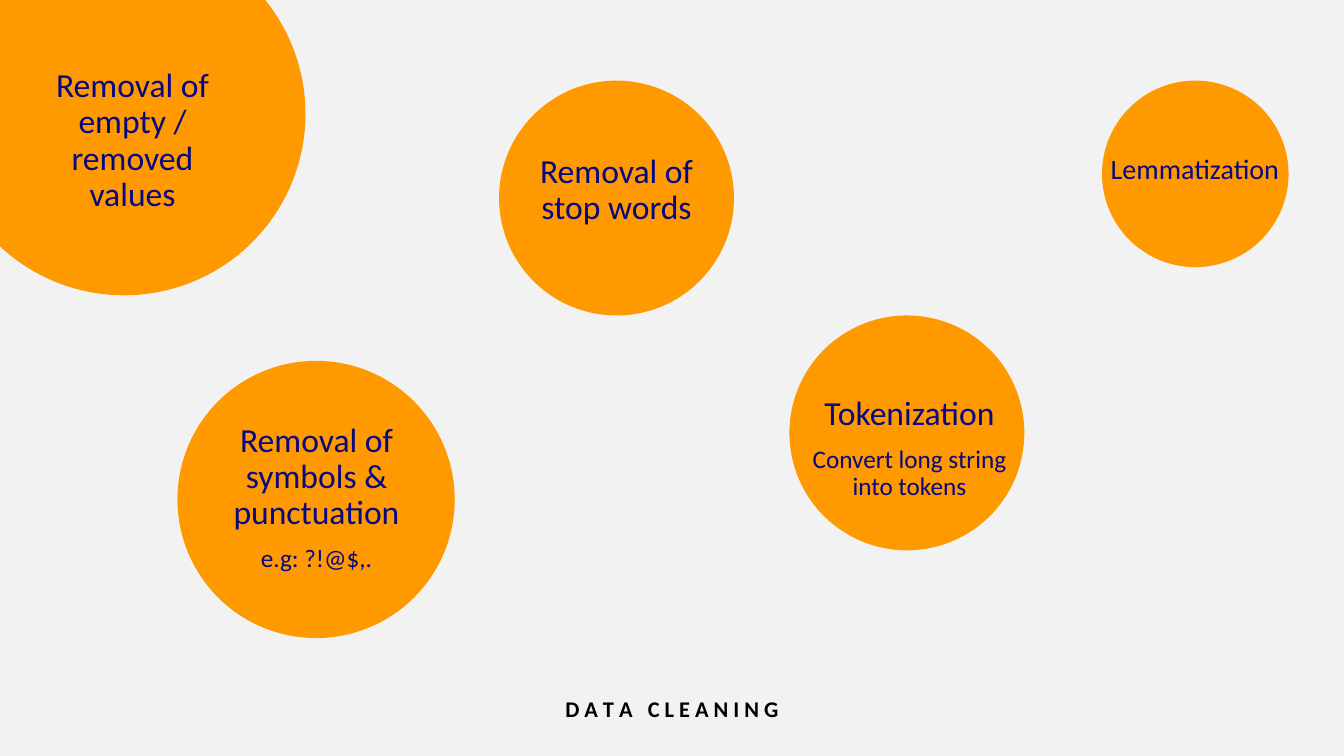
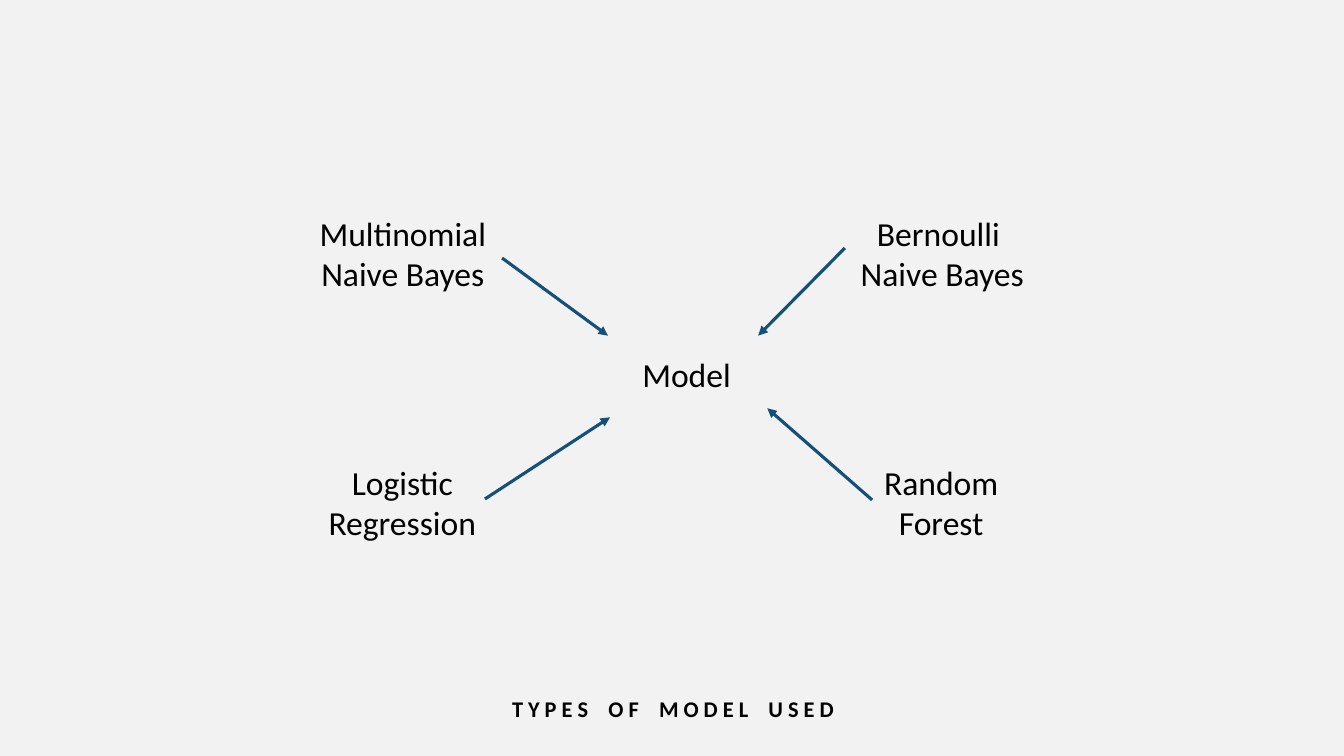
"""Build two slides: data cleaning steps and types of model used."""
from pptx import Presentation
from pptx.dml.color import RGBColor as Rgb
from pptx.enum.shapes import MSO_CONNECTOR as Line, MSO_SHAPE as Shape
from pptx.enum.text import MSO_AUTO_SIZE as Fit, PP_ALIGN as Align
from pptx.oxml.ns import qn
from pptx.util import Inches, Pt
from lxml.etree import SubElement as Sub

FONT = "Calibri"
COLORS = {"back": "F2F2F2", "disc": "FF9900", "navy": "07077F",
          "black": "000000", "arrow": "155078"}

DISCS = [(-0.57, -0.67, 3.6), (1.76, 3.58, 2.75), (4.95, 0.8, 2.33),
         (7.83, 3.13, 2.33), (10.93, 0.8, 1.85)]

STEPS = [
    ((10.59, 1.44, 2.52, 0.5), [("Lemmatization", 20)]),
    ((5.22, 1.43, 1.79, 0.93), [("Removal of stop words", 24)]),
    ((2.16, 4.1, 1.96, 1.71), [("Removal of symbols & punctuation", 24),
                               ("e.g: ?!@$,.", 18)]),
    ((0.2, 0.58, 2.23, 1.66), [("Removal of empty / removed values", 24)]),
    ((7.96, 3.83, 2.12, 1.25), [("Tokenization", 24),
                                ("Convert long string into tokens", 18)]),
]

MODELS = [
    ((3.05, 2.01, 1.89, 1.01), ["Multinomial Naive Bayes"]),
    ((3.13, 4.48, 1.72, 1.01), ["Logistic Regression"]),
    ((8.67, 4.48, 1.33, 1.01), ["Random Forest"]),
    ((8.4, 2.01, 1.89, 1.01), ["Bernoulli ", "Naive Bayes"]),
]

ARROWS = [(4.98, 2.56, 6.03, 3.33), (4.81, 4.95, 6.05, 4.14),
          (8.65, 4.96, 7.61, 4.05), (8.38, 2.46, 7.52, 3.33)]


def color(name):
    """Return a named colour."""
    return Rgb.from_string(COLORS[name])


def style(run, size, tint, bold=False):
    """Format one run."""
    font = run.font
    font.name, font.size, font.bold = FONT, Pt(size), bold
    font.color.rgb = color(tint)


def add_frame(slide, box):
    """Add a wrapped text box and return its frame."""
    frame = slide.shapes.add_textbox(*map(Inches, box)).text_frame
    frame.word_wrap = True
    frame.auto_size = Fit.SHAPE_TO_FIT_TEXT
    frame.margin_left = frame.margin_right = Inches(0.1)
    frame.margin_top = frame.margin_bottom = Inches(0.1)
    return frame


def add_label(slide, box, lines, tint, tight=True):
    """Add centred paragraphs, given as pairs of text and size."""
    frame = add_frame(slide, box)
    frame.text = "\n".join(text for text, _ in lines)
    for para, (_, size) in zip(frame.paragraphs, lines):
        para.alignment = Align.CENTER
        if tight:
            para.line_spacing = 0.9
            para.space_before = Pt(10)
        style(para.runs[0], size, tint)


def add_title(slide, box, words, gap, align):
    """Add the spaced title, its word gaps widened by gap points."""
    para = add_frame(slide, box).paragraphs[0]
    para.alignment = align
    for place, word in enumerate(words.split()):
        if place:
            space = para.add_run()
            space.text = " "
            style(space, 16, "black", True)
            space.font._element.set("spc", str(round(gap * 100)))
        run = para.add_run()
        run.text = " ".join(word)
        style(run, 16, "black", True)


def add_disc(slide, left, top, size):
    """Add a plain circle."""
    box = map(Inches, (left, top, size, size))
    disc = slide.shapes.add_shape(Shape.OVAL, *box)
    disc.shadow.inherit = False
    disc.fill.solid()
    disc.fill.fore_color.rgb = color("disc")
    disc.line.fill.background()


def add_arrow(slide, ends):
    """Add a straight arrow between two points."""
    arrow = slide.shapes.add_connector(Line.STRAIGHT, *map(Inches, ends))
    arrow.line.color.rgb = color("arrow")
    arrow.line.width = Pt(2.25)
    Sub(arrow.line._get_or_add_ln(), qn("a:tailEnd"), type="triangle")
    Sub(arrow._element.spPr, qn("a:effectLst"))


def add_slide(deck):
    """Add a blank slide with the shared background."""
    slide = deck.slides.add_slide(deck.slide_layouts[6])
    fill = slide.background.fill
    fill.solid()
    fill.fore_color.rgb = color("back")
    return slide


def add_steps(deck):
    """Build the data cleaning slide."""
    slide = add_slide(deck)
    add_title(slide, (5, 6.8, 3.33, 0.47), "DATA CLEANING", 7.2, Align.CENTER)
    for disc in DISCS:
        add_disc(slide, *disc)
    for box, lines in STEPS:
        add_label(slide, box, lines, "navy")


def add_models(deck):
    """Build the model slide."""
    slide = add_slide(deck)
    add_title(slide, (4.98, 6.8, 3.89, 0.47), "TYPES OF MODEL USED", 10.8,
              Align.LEFT)
    add_label(slide, (6.06, 3.46, 1.5, 0.71), [("Model", 24)], "black")
    for box, names in MODELS:
        lines = [(name, 24) for name in names]
        add_label(slide, box, lines, "black", tight=False)
    for ends in ARROWS:
        add_arrow(slide, ends)


def main():
    """Build and save the deck."""
    deck = Presentation()
    deck.slide_width, deck.slide_height = Inches(13.33), Inches(7.5)
    add_steps(deck)
    add_models(deck)
    deck.save("out.pptx")


if __name__ == "__main__":
    main()
